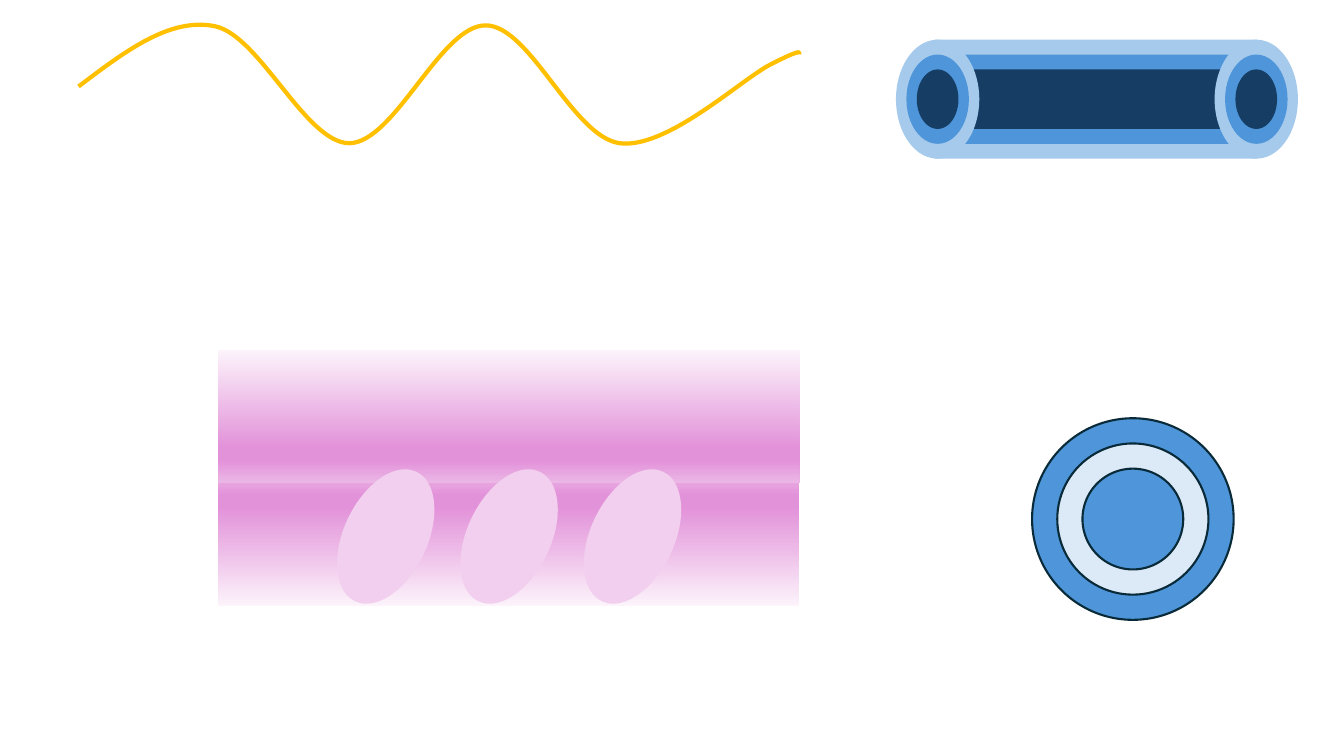
from lxml import etree
from pptx import Presentation
from pptx.dml.color import RGBColor
from pptx.enum.shapes import MSO_SHAPE
from pptx.oxml.ns import qn
from pptx.util import Cm, Pt

OVAL = MSO_SHAPE.OVAL
RECT = MSO_SHAPE.RECTANGLE
BLUE, PALE, NAVY = "4E95D9", "DCEAF7", "163E64"
SKY, EDGE, GOLD, PINK = "A6CAEC", "092A39", "FFC000", "F2CFEE"
STOPS = [(0, "FCF3FB"), (74, "E292D9"), (83, "E292D9"), (100, "EBB6E6")]

# Start point of the wave, then three points for each curve, in cm
WAVE = [
    (1.98, 2.18),
    (3.12, 1.32), (4.27, 0.43), (5.41, 0.66),
    (6.55, 0.89), (7.7, 3.61), (8.81, 3.61),
    (9.96, 3.58), (11.1, 0.64), (12.24, 0.64),
    (13.36, 0.64), (14.43, 3.45), (15.62, 3.61),
    (16.81, 3.76), (18.67, 2.01), (19.41, 1.63),
    (20.17, 1.24), (20.17, 1.3), (20.14, 1.37),
]


def paint(target, code):
    target.solid()
    target.fore_color.rgb = RGBColor.from_string(code)


def outline(shape, code, width):
    paint(shape.line.fill, code)
    shape.line.width = Pt(width)


def add_form(group, kind, mid_x, mid_y, width, height, fill=None, turn=0):
    """Add a shape around its centre, without line or shadow."""
    shape = group.shapes.add_shape(
        kind, Cm(mid_x - width / 2), Cm(mid_y - height / 2),
        Cm(width), Cm(height))
    shape.shadow.inherit = False
    shape.rotation = turn
    shape.line.fill.background()
    if fill:
        paint(shape.fill, fill)
    return shape


def fade(shape):
    """Fill a shape with the pink gradient, light at its foot."""
    shape.fill.gradient()
    shape.fill.gradient_angle = 90
    stops = shape._element.spPr.find(".//" + qn("a:gsLst"))
    for old in list(stops):
        stops.remove(old)
    for place, code in STOPS:
        stop = etree.SubElement(stops, qn("a:gs"), pos=str(place * 1000))
        etree.SubElement(stop, qn("a:srgbClr"), val=code)


def add_rings(slide):
    group = slide.shapes.add_group_shape()
    for size, fill in [(5.08, BLUE), (3.81, PALE), (2.54, BLUE)]:
        ring = add_form(group, OVAL, 28.55, 13.08, size, size, fill)
        outline(ring, EDGE, 1.5)


def add_tube(slide):
    group = slide.shapes.add_group_shape()
    layers = [(1, SKY), (0.75, BLUE), (0.5, NAVY)]
    for part, fill in layers:
        add_form(group, RECT, 27.62, 2.5, 8.13, 3 * part, fill)
    for mid_x in (31.66, 23.63):
        for part, fill in layers:
            add_form(group, OVAL, mid_x, 2.5, 2.1 * part, 3 * part, fill)


def add_wave(slide):
    start, *rest = [(Cm(x), Cm(y)) for x, y in WAVE]
    maker = slide.shapes.build_freeform(*start)
    maker.add_line_segments(rest, close=False)
    wave = maker.convert_to_shape()
    wave.shadow.inherit = False
    wave.fill.background()
    outline(wave, GOLD, 3)
    # Turn each three straight steps into one curve
    steps = wave._element.xpath(".//a:lnTo")
    for first in range(0, len(steps), 3):
        curve = etree.Element(qn("a:cubicBezTo"))
        steps[first].addprevious(curve)
        for step in steps[first:first + 3]:
            curve.append(step[0])
            step.getparent().remove(step)


def add_layer(slide):
    group = slide.shapes.add_group_shape()
    for mid_y, turn in [(13.59, 0), (10.49, 180)]:
        fade(add_form(group, RECT, 12.82, mid_y, 14.66, 3.35, turn=turn))
    for col in range(3):
        add_form(group, OVAL, 9.72 + 3.11 * col, 13.52, 2.11, 3.61, PINK, 25.3)


def main():
    deck = Presentation()
    deck.slide_width, deck.slide_height = Cm(33.87), Cm(19.05)
    slide = deck.slides.add_slide(deck.slide_layouts[6])
    add_rings(slide)
    add_tube(slide)
    add_wave(slide)
    add_layer(slide)
    deck.save("out.pptx")


if __name__ == "__main__":
    main()
